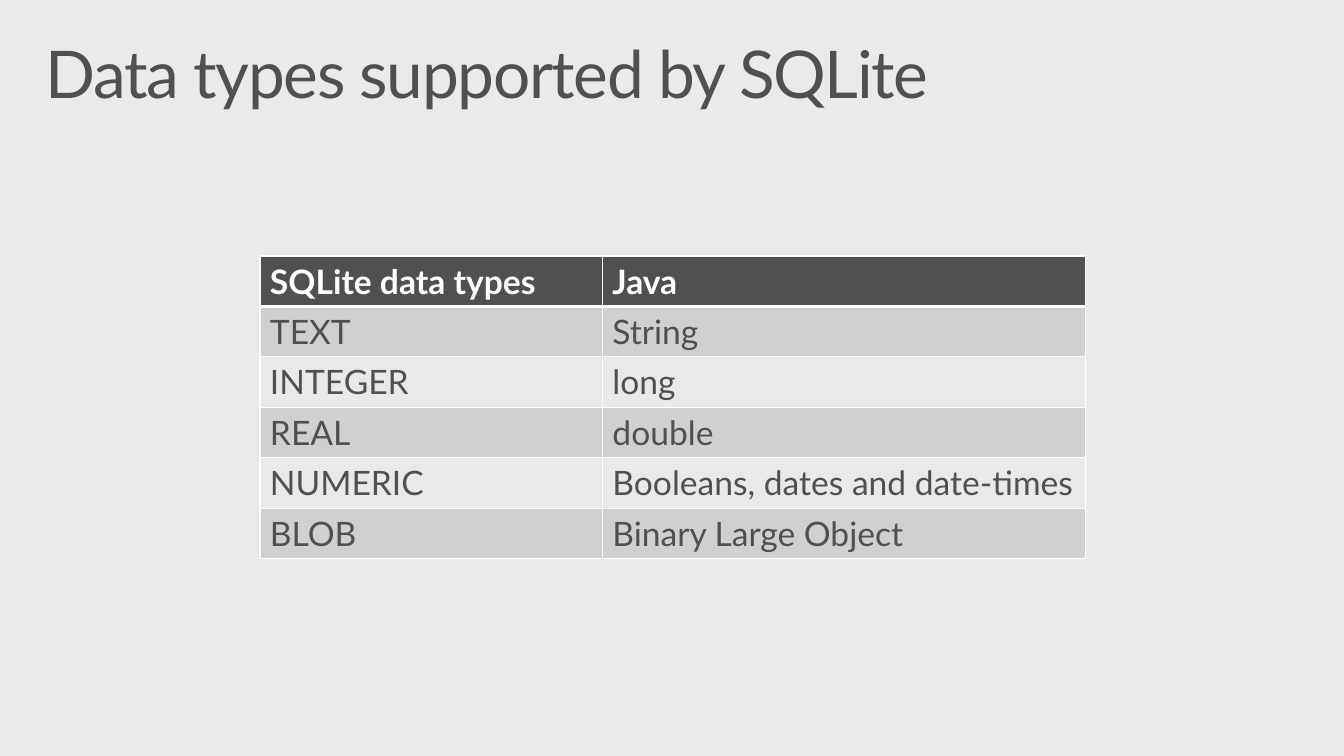
"""Build a slide with a table of the data types supported by SQLite."""
from lxml.etree import SubElement
from pptx import Presentation
from pptx.dml.color import RGBColor
from pptx.enum.text import MSO_ANCHOR, PP_ALIGN
from pptx.oxml.ns import qn
from pptx.util import Cm, Pt

BACKGROUND = RGBColor(0xEA, 0xEA, 0xEA)
DARK = RGBColor(0x50, 0x50, 0x50)
BAND = RGBColor(0xD0, 0xD0, 0xD0)
LIGHT = RGBColor(0xE9, 0xE9, 0xE9)
WHITE = RGBColor(0xFF, 0xFF, 0xFF)

ROWS = [
    ("SQLite data types", "Java"),
    ("TEXT", "String"),
    ("INTEGER", "long"),
    ("REAL", "double"),
    ("NUMERIC", "Booleans, dates and date-times"),
    ("BLOB", "Binary Large Object"),
]


def write(tf, text, size, color=DARK, bold=False, spacing=None):
    p = tf.paragraphs[0]
    p.alignment = PP_ALIGN.LEFT
    r = p.add_run()
    r.text = text
    r.font.name = "Lato"
    r.font.size = Pt(size)
    r.font.bold = bold
    r.font.color.rgb = color
    if spacing is not None:
        r.font._element.set("spc", str(spacing))
    return p


def add_border(cell, side, width):
    ln = SubElement(cell._tc.get_or_add_tcPr(), qn(f"a:ln{side}"), w=str(Pt(width)))
    fill = SubElement(ln, qn("a:solidFill"))
    SubElement(fill, qn("a:srgbClr"), val=str(WHITE))


prs = Presentation()
prs.slide_width, prs.slide_height = Cm(33.87), Cm(19.05)
s = prs.slides.add_slide(prs.slide_layouts[5])
s.background.fill.solid()
s.background.fill.fore_color.rgb = BACKGROUND

title = s.shapes.title
title.left, title.top, title.width, title.height = Cm(0.74), Cm(0.81), Cm(32.39), Cm(2.49)
tf = title.text_frame
tf.word_wrap = True
tf.vertical_anchor = MSO_ANCHOR.TOP
tf.margin_left = tf.margin_right = Cm(0.41)
tf.margin_top = tf.margin_bottom = Cm(0.25)
p = write(tf, "Data types supported by SQLite", 47, spacing=-100)
p.line_spacing = 0.9

table = s.shapes.add_table(len(ROWS), 2, Cm(6.55), Cm(6.45), Cm(20.8), Cm(7.62)).table
table.columns[0].width, table.columns[1].width = Cm(8.63), Cm(12.17)
for i, texts in enumerate(ROWS):
    table.rows[i].height = Cm(1.27)
    header = i == 0
    for j, text in enumerate(texts):
        cell = table.cell(i, j)
        write(cell.text_frame, text, 24, color=WHITE if header else DARK, bold=header)
        for side in "LRTB":
            thick = (i, side) in ((0, "B"), (1, "T"))
            add_border(cell, side, 3 if thick else 1)
        cell.fill.solid()
        cell.fill.fore_color.rgb = DARK if header else BAND if i % 2 else LIGHT

prs.save("out.pptx")
